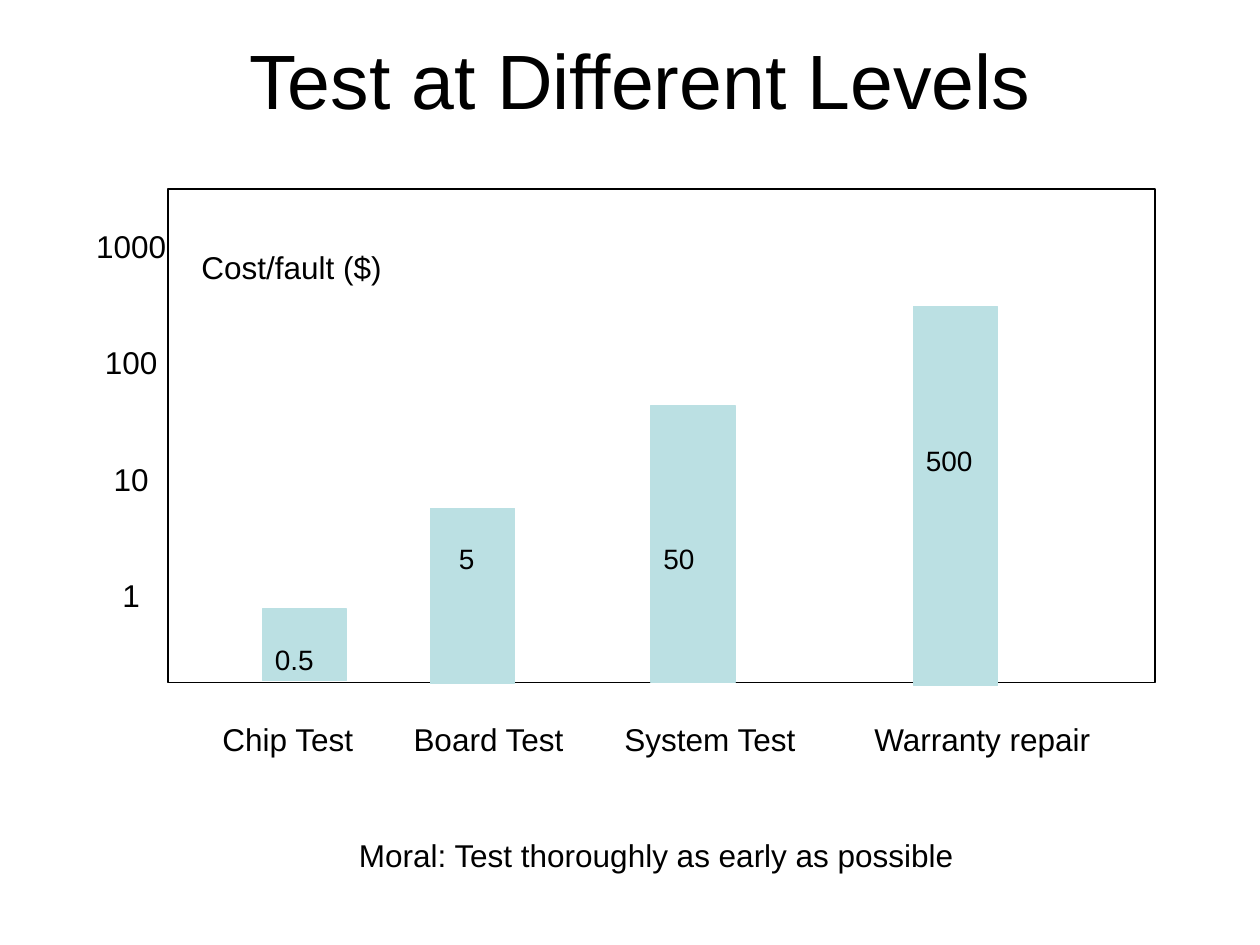
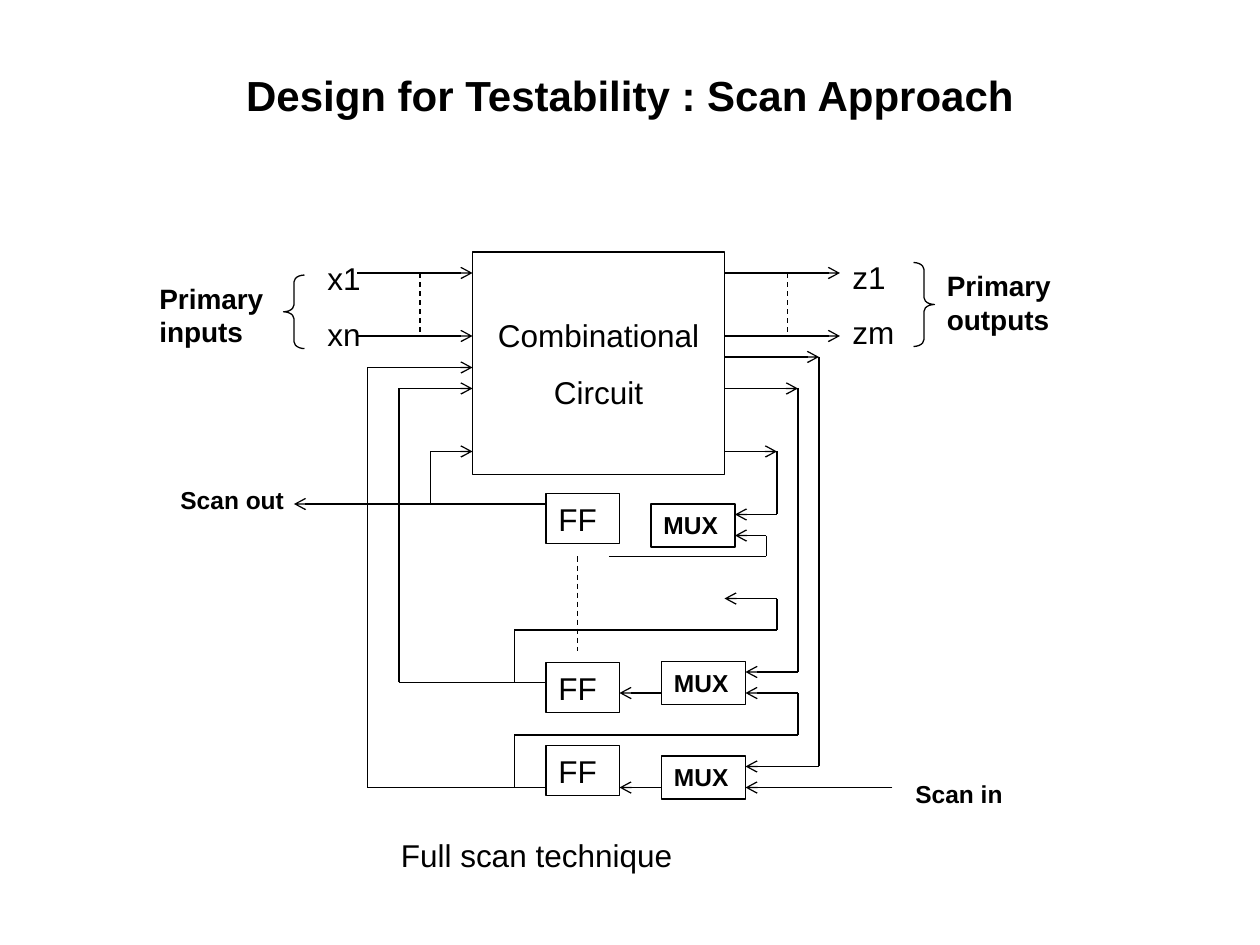
from dataclasses import dataclass
from itertools import pairwise

from lxml.etree import SubElement
from pptx import Presentation
from pptx.dml.color import RGBColor
from pptx.enum.dml import MSO_LINE
from pptx.enum.shapes import MSO_CONNECTOR, MSO_SHAPE
from pptx.enum.text import MSO_ANCHOR as ANCHOR, PP_ALIGN as ALIGN
from pptx.oxml.ns import qn
from pptx.util import Pt

PX = 7620  # EMU per px, 120 px to the inch
FONT = "Arial"
BLACK = "000000"
BAR_FILL = "BBE0E3"
LINE_WIDTH = 0.75
INSET_X, INSET_Y = 12, 6

Point = tuple[int, int]
Frame = tuple[int, int, int, int]


@dataclass
class Bar:
    value: str
    left: int
    top: int
    height: int
    value_left: int
    value_top: int
    label: str
    label_left: int
    label_width: int


@dataclass
class Wire:
    points: list[Point]
    arrow: bool = True
    dashed: bool = False


@dataclass
class Label:
    text: str
    frame: Frame
    size: int = 18
    bold: bool = False


BARS = [
    Bar("0.5", 250, 580, 68, 12, 32, "Chip Test", 200, 180),
    Bar("5", 410, 484, 167, 27, 32, "Board Test", 382, 200),
    Bar("50", 620, 386, 264, 12, 130, "System Test", 583, 230),
    Bar("500", 870, 292, 361, 12, 130, "Warranty repair", 821, 250),
]

FLIP_FLOPS = [(520, 470), (520, 631), (520, 710)]
MULTIPLEXERS = [(620, 480), (630, 630), (630, 720)]

SIGNAL_ROWS = (260, 320)
CIRCUIT = (450, 240, 300 - 60, 212)
CIRCUIT_LEFT, CIRCUIT_RIGHT = 450, 690

# Height of the circuit output, x of its turn, and the multiplexer input
OUTPUT_TAPS = [
    (340, 780, (710, 730)),
    (370, 760, (710, 640)),
    (430, 740, (700, 490)),
]

WIRES = [
    Wire([(520, 750), (350, 750), (350, 350), (CIRCUIT_LEFT, 350)]),
    Wire([(520, 650), (380, 650), (380, 370), (CIRCUIT_LEFT, 370)]),
    Wire([(410, 480), (410, 430), (CIRCUIT_LEFT, 430)]),
    Wire([(520, 480), (280, 480)]),
    Wire([(580, 530), (730, 530), (730, 510), (700, 510)]),
    Wire([(490, 650), (490, 600), (740, 600), (740, 570), (690, 570)]),
    Wire([(490, 750), (490, 700), (760, 700), (760, 660), (710, 660)]),
    Wire([(630, 660), (590, 660)]),
    Wire([(630, 750), (590, 750)]),
    Wire([(850, 750), (710, 750)]),
    Wire([(550, 530), (550, 620)], arrow=False, dashed=True),
]

SCAN_LABELS = [
    Label("x1", (300, 241, 60, 48)),
    Label("xn", (300, 294, 60, 48)),
    Label("z1", (800, 240, 60, 48)),
    Label("zm", (800, 292, 90, 48)),
    Label("Primary inputs", (140, 262, 140, 77), 16, True),
    Label("Primary outputs", (890, 250, 140, 77), 16, True),
    Label("Scan in", (860, 736, 170, 42), 14, True),
    Label("Scan out", (160, 456, 170, 42), 14, True),
    Label("Full scan technique", (370, 790, 310, 48)),
]


def color(code: str) -> RGBColor:
    return RGBColor.from_string(code)


def emu(lengths) -> list[int]:
    return [length * PX for length in lengths]


def write(box, text: str, *, size: int = 18, bold: bool = False,
          align=ALIGN.LEFT, anchor=ANCHOR.TOP, gap: float = 0,
          left: int = INSET_X, top: int = INSET_Y) -> None:
    """Fill a box with one paragraph a line, gap points apart."""
    frame = box.text_frame
    frame.word_wrap = True
    frame.vertical_anchor = anchor
    frame.margin_left, frame.margin_top = emu((left, top))
    frame.margin_right, frame.margin_bottom = emu((INSET_X, INSET_Y))
    for index, line in enumerate(text.split("\n")):
        para = frame.paragraphs[0] if index == 0 else frame.add_paragraph()
        para.alignment = align
        para.space_before = Pt(gap if index else 0)
        span = para.add_run()
        span.text = line
        span.font.name = FONT
        span.font.size = Pt(size)
        span.font.bold = bold
        span.font.color.rgb = color(BLACK)


def add_label(page, text: str, frame: Frame, **style) -> None:
    write(page.shapes.add_textbox(*emu(frame)), text, **style)


def add_outline(page, frame: Frame, *, kind=MSO_SHAPE.RECTANGLE,
                fill: str | None = None, line: str = BLACK):
    box = page.shapes.add_shape(kind, *emu(frame))
    box.shadow.inherit = False
    if fill:
        box.fill.solid()
        box.fill.fore_color.rgb = color(fill)
    else:
        box.fill.background()
    box.line.color.rgb = color(line)
    box.line.width = Pt(LINE_WIDTH)
    return box


def add_wire(page, wire: Wire) -> None:
    """Draw a wire segment by segment, with any arrowhead on the last one."""
    for start, end in pairwise(wire.points):
        segment = page.shapes.add_connector(
            MSO_CONNECTOR.STRAIGHT, *emu(start + end))
        segment.line.color.rgb = color(BLACK)
        segment.line.width = Pt(LINE_WIDTH)
        if wire.dashed:
            segment.line.dash_style = MSO_LINE.DASH
        properties = segment._element.spPr
        if wire.arrow and end == wire.points[-1]:
            SubElement(properties.find(qn("a:ln")), qn("a:tailEnd"), type="arrow")
        SubElement(properties, qn("a:effectLst"))


def add_page(deck, title: str, frame: Frame, **style):
    page = deck.slides.add_slide(deck.slide_layouts[5])
    heading = page.shapes.title
    heading.left, heading.top, heading.width, heading.height = emu(frame)
    write(heading, title, align=ALIGN.CENTER, anchor=ANCHOR.MIDDLE, **style)
    return page


def build_cost_page(deck) -> None:
    page = add_page(deck, "Test at Different Levels", (70, 0, 1080, 150), size=44)
    add_outline(page, (160, 180, 940, 470))
    add_label(page, "1000\n100\n10\n1", (70, 210, 110, 377),
              align=ALIGN.CENTER, gap=45)
    add_label(page, "Cost/fault ($)", (180, 230, 220, 48))
    for bar in BARS:
        box = add_outline(page, (bar.left, bar.top, 80, bar.height),
                          fill=BAR_FILL, line=BAR_FILL)
        write(box, bar.value, size=16, left=bar.value_left, top=bar.value_top)
        add_label(page, bar.label, (bar.label_left, 680, bar.label_width, 48))
    add_label(page, "Moral: Test thoroughly as early as possible",
              (330, 790, 640, 48))


def build_scan_page(deck) -> None:
    page = add_page(deck, "Design for Testability : Scan Approach",
                    (60, 50, 1080, 80), size=24, bold=True)
    circuit = add_outline(page, CIRCUIT)
    write(circuit, "Combinational\nCircuit", align=ALIGN.CENTER,
          anchor=ANCHOR.MIDDLE, gap=11.2)

    for left, top in FLIP_FLOPS:
        write(add_outline(page, (left, top, 70, 48)), "FF")
    for left, top in MULTIPLEXERS:
        write(add_outline(page, (left, top, 80, 41)), "MUX", size=14, bold=True)

    for row in SIGNAL_ROWS:
        add_wire(page, Wire([(340, row), (CIRCUIT_LEFT, row)]))
        add_wire(page, Wire([(CIRCUIT_RIGHT, row), (800, row)]))
    for column in (400, 750):
        add_wire(page, Wire([(column, row) for row in SIGNAL_ROWS],
                            arrow=False, dashed=True))
    for row, turn, (mux_right, mux_row) in OUTPUT_TAPS:
        add_wire(page, Wire([(CIRCUIT_RIGHT, row), (turn, row)]))
        add_wire(page, Wire([(turn, row), (turn, mux_row), (mux_right, mux_row)]))
    for wire in WIRES:
        add_wire(page, wire)

    for kind, frame in ((MSO_SHAPE.LEFT_BRACE, (270, 262, 20, 70)),
                        (MSO_SHAPE.RIGHT_BRACE, (870, 250, 20, 80))):
        brace = add_outline(page, frame, kind=kind)
        brace.adjustments[0] = 0.33
    for label in SCAN_LABELS:
        add_label(page, label.text, label.frame, size=label.size, bold=label.bold)


def main() -> None:
    deck = Presentation()
    deck.slide_width, deck.slide_height = emu((1200, 900))
    build_cost_page(deck)
    build_scan_page(deck)
    deck.save("out.pptx")


if __name__ == "__main__":
    main()
